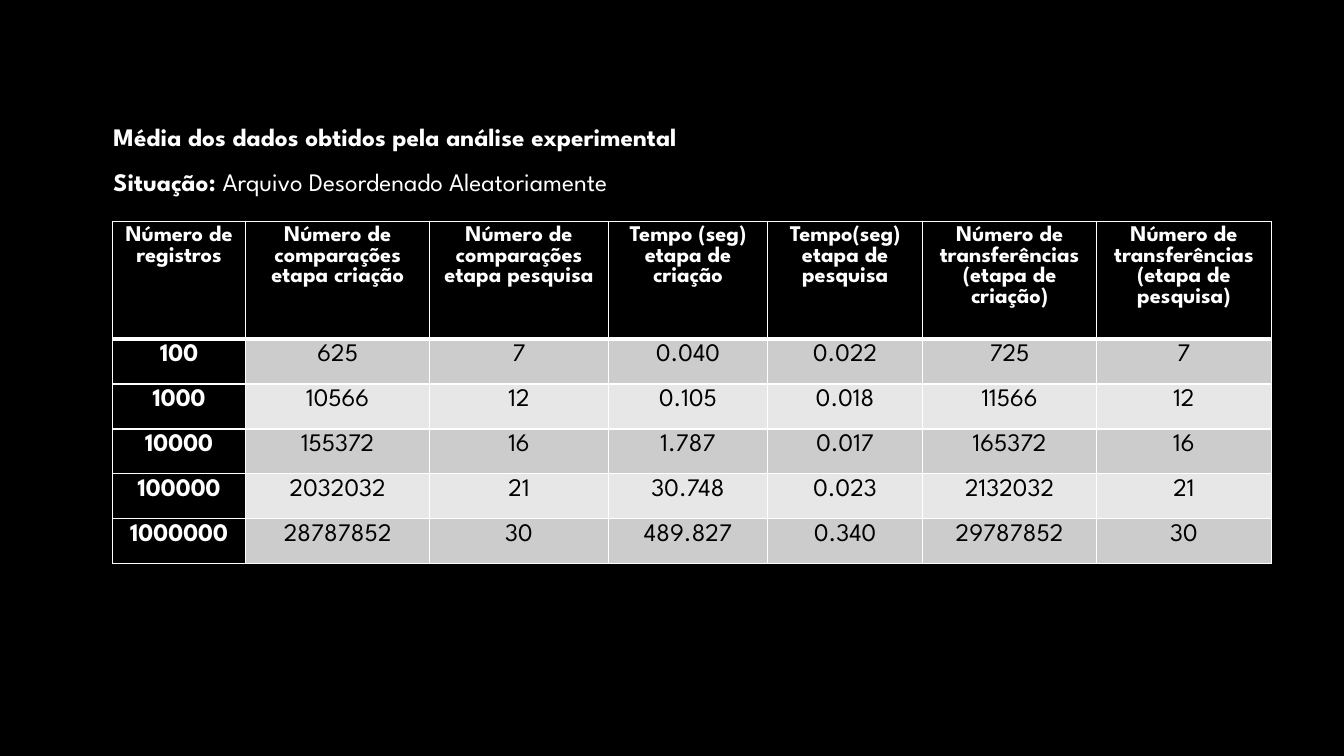
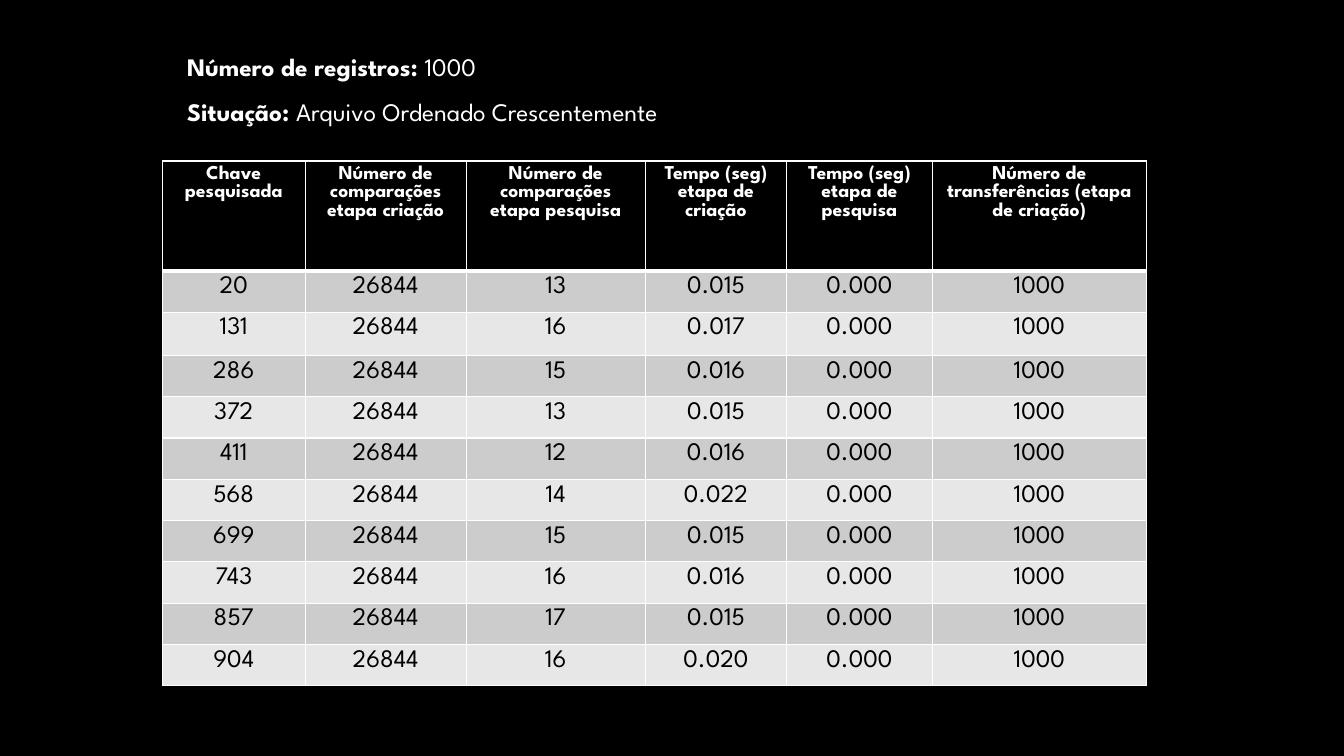
"""Two dark slides with tables of search-tree measurements."""
from lxml.etree import SubElement
from pptx import Presentation
from pptx.dml.color import RGBColor
from pptx.enum.text import MSO_AUTO_SIZE as AutoSize, PP_ALIGN as Align
from pptx.oxml.ns import qn
from pptx.util import Pt

BLACK = RGBColor(0x00, 0x00, 0x00)
WHITE = RGBColor(0xFF, 0xFF, 0xFF)
BANDS = (RGBColor(0xCC, 0xCC, 0xCC), RGBColor(0xE7, 0xE7, 0xE7))
FONT = "League Spartan"
BODY_SIZE = 18
THIN, THICK = 1, 3


class Deck:
    """Holds the shared style and the current slide."""

    def __init__(self):
        self.prs = Presentation()
        self.prs.slide_width, self.prs.slide_height = Pt(960), Pt(540)
        self.slide = None

    def new_slide(self):
        self.slide = self.prs.slides.add_slide(self.prs.slide_layouts[6])
        background = self.slide.background.fill
        background.solid()
        background.fore_color.rgb = BLACK

    def style(self, run, size, color, bold):
        run.font.name = FONT
        run.font.size = Pt(size)
        run.font.color.rgb = color
        run.font.bold = bold

    def heading(self, left, top, width, lines):
        box = self.slide.shapes.add_textbox(Pt(left), Pt(top), Pt(width), Pt(72.7))
        frame = box.text_frame
        frame.word_wrap = True
        frame.auto_size = AutoSize.SHAPE_TO_FIT_TEXT
        frame.text = "\n".join(label for label, _ in lines)
        for paragraph, (_, value) in zip(frame.paragraphs, lines):
            paragraph.line_spacing = 1.5
            if value:
                paragraph.add_run().text = value
            for position, run in enumerate(paragraph.runs):
                self.style(run, BODY_SIZE, WHITE, position == 0)

    def borders(self, cell, top, bottom):
        properties = cell._tc.get_or_add_tcPr()
        for side, weight in (("L", THIN), ("R", THIN), ("T", top), ("B", bottom)):
            line = SubElement(properties, qn(f"a:ln{side}"), w=str(Pt(weight)))
            fill = SubElement(line, qn("a:solidFill"))
            SubElement(fill, qn("a:srgbClr"), val=str(WHITE))

    def table(self, left, top, widths, heights, rows, header_size, row_labels=False):
        frame = self.slide.shapes.add_table(
            len(rows), len(widths), Pt(left), Pt(top), Pt(sum(widths)), Pt(sum(heights)))
        table = frame.table
        table.first_row = table.horz_banding = False
        for column, width in zip(table.columns, widths):
            column.width = Pt(width)
        for row, height in zip(table.rows, heights):
            row.height = Pt(height)
        for r, values in enumerate(rows):
            for c, value in enumerate(values):
                dark = r == 0 or (row_labels and c == 0)
                cell = table.cell(r, c)
                self.borders(cell, THICK if r == 1 else THIN, THICK if r == 0 else THIN)
                cell.fill.solid()
                cell.fill.fore_color.rgb = BLACK if dark else BANDS[(r - 1) % 2]
                cell.text_frame.text = value
                paragraph = cell.text_frame.paragraphs[0]
                paragraph.alignment = Align.CENTER
                self.style(paragraph.runs[0], BODY_SIZE if r else header_size,
                           WHITE if dark else BLACK, dark)


COMPARISONS = ("Número de comparações etapa criação", "Número de comparações etapa pesquisa")
CREATION_TIME = "Tempo (seg) etapa de criação"
CREATION_TRANSFERS = "Número de transferências (etapa de criação)"

AVERAGES = [
    ("Número de registros", *COMPARISONS, CREATION_TIME, "Tempo(seg) etapa de pesquisa",
     CREATION_TRANSFERS, "Número de transferências (etapa de pesquisa)"),
    ("100", "625", "7", "0.040", "0.022", "725", "7"),
    ("1000", "10566", "12", "0.105", "0.018", "11566", "12"),
    ("10000", "155372", "16", "1.787", "0.017", "165372", "16"),
    ("100000", "2032032", "21", "30.748", "0.023", "2132032", "21"),
    ("1000000", "28787852", "30", "489.827", "0.340", "29787852", "30"),
]

SEARCHES = [
    ("20", "13", "0.015"), ("131", "16", "0.017"), ("286", "15", "0.016"),
    ("372", "13", "0.015"), ("411", "12", "0.016"), ("568", "14", "0.022"),
    ("699", "15", "0.015"), ("743", "16", "0.016"), ("857", "17", "0.015"),
    ("904", "16", "0.020"),
]
ORDERED = [("Chave pesquisada", *COMPARISONS, CREATION_TIME,
            "Tempo (seg) etapa de pesquisa", CREATION_TRANSFERS)]
ORDERED += [(key, "26844", compared, seconds, "0.000", "1000")
            for key, compared, seconds in SEARCHES]


def main():
    deck = Deck()

    deck.new_slide()
    deck.table(80.5, 158, [95, 131.5, 127.5, 114, 110.5, 124.5, 124.5],
               [84.2] + [32.1] * 5, AVERAGES, 16, row_labels=True)
    deck.heading(74, 72, 474, [
        ("Média dos dados obtidos pela análise experimental", ""),
        ("Situação: ", "Arquivo Desordenado Aleatoriamente")])

    deck.new_slide()
    deck.table(116, 115, [102, 115, 128, 101, 104, 153],
               [78.5, 29.5, 31] + [29.5] * 8, ORDERED, 14)
    deck.heading(126.5, 22.3, 422, [
        ("Número de registros: ", "1000"),
        ("Situação: ", "Arquivo Ordenado Crescentemente")])

    deck.prs.save("out.pptx")


if __name__ == "__main__":
    main()
